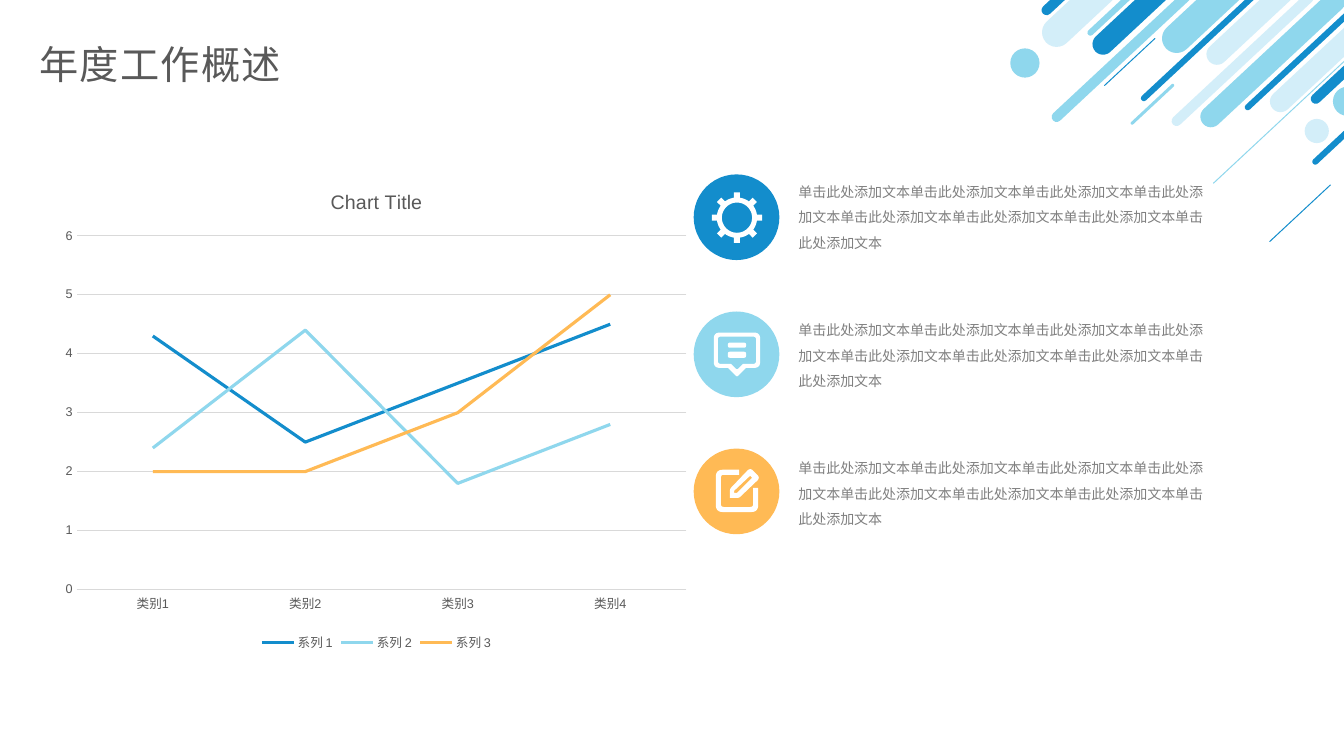
from dataclasses import dataclass
from math import asin, cos, dist, hypot, pi, sin

from lxml.etree import SubElement
from pptx import Presentation
from pptx.chart.data import CategoryChartData
from pptx.dml.color import RGBColor
from pptx.enum.chart import XL_CHART_TYPE, XL_LEGEND_POSITION, XL_TICK_MARK
from pptx.enum.shapes import MSO_SHAPE
from pptx.enum.text import MSO_ANCHOR
from pptx.oxml import parse_xml
from pptx.oxml.ns import nsdecls, qn
from pptx.util import Inches, Pt

COLORS = {"blue": "138DCC", "sky": "8FD7ED", "pale": "D3EEF9", "orange": "FFBA55",
          "white": "FFFFFF", "dark": "595959", "grey": "808080", "grid": "D9D9D9"}
CJK = "Noto Sans CJK SC"
BODY = "单击此处添加文本" * 8
Corner = tuple[float, float, float]  # x, y, corner radius
Contour = list[tuple[float, float]]


@dataclass
class Bar:
    x: float
    y: float
    h: float
    color: str
    w: float = 1.89


@dataclass
class Dot:
    x: float
    y: float
    d: float
    color: str


@dataclass
class Item:
    color: str
    icon: list[Contour]


BARS = [
    Bar(10.12, -0.37, 0.29, "pale"), Bar(10.54, -0.33, 0.06, "sky"),
    Bar(10.61, -0.24, 0.21, "blue"), Bar(10.19, 0.5, 0.1, "sky"),
    Bar(11.31, -0.31, 0.29, "sky"), Bar(11.07, 0.32, 0.06, "blue"),
    Bar(11.74, -0.14, 0.21, "pale"), Bar(11.38, 0.54, 0.1, "pale"),
    Bar(11.68, 0.48, 0.21, "sky"), Bar(12.1, 0.41, 0.06, "blue"),
    Bar(12.37, 0.33, 0.21, "pale"), Bar(12.76, 0.32, 0.1, "blue"),
    Bar(10.09, -0.56, 0.1, "blue"), Bar(12.77, 0.95, 0.06, "blue"),
    Bar(11.78, 1.17, 0.01, "sky"), Bar(12.48, 2.11, 0.01, "blue", 0.83),
    Bar(11.14, 1.02, 0.03, "sky", 0.58), Bar(10.86, 0.61, 0.01, "blue", 0.69),
]
DOTS = [Dot(12.94, 1.18, 0.24, "pale"), Dot(13.22, 0.86, 0.29, "sky"),
        Dot(10.02, 0.48, 0.29, "sky")]


def rgb(name: str) -> RGBColor:
    return RGBColor.from_string(COLORS[name])


def paint(sp, color: str) -> None:
    sp.shadow.inherit = False
    sp.fill.solid()
    sp.fill.fore_color.rgb = rgb(color)
    sp.line.fill.background()


def add_preset(s, kind: MSO_SHAPE, x: float, y: float, w: float, h: float, color: str):
    sp = s.shapes.add_shape(kind, Inches(x), Inches(y), Inches(w), Inches(h))
    paint(sp, color)
    return sp


def add_bar(s, bar: Bar) -> None:
    sp = add_preset(s, MSO_SHAPE.ROUNDED_RECTANGLE, bar.x, bar.y, bar.w, bar.h, bar.color)
    sp.adjustments[0] = 0.5
    sp.rotation = 317


def rounded(corners: list[Corner], steps: int = 6) -> Contour:
    """Outline with each corner replaced by a quadratic curve."""
    out = []
    for i, (x, y, r) in enumerate(corners):
        if not r:
            out.append((x, y))
            continue
        ends = []
        for nx, ny, _ in (corners[i - 1], corners[(i + 1) % len(corners)]):
            t = r / dist((x, y), (nx, ny))
            ends.append((x + (nx - x) * t, y + (ny - y) * t))
        (ax, ay), (bx, by) = ends
        for k in range(steps + 1):
            t = k / steps
            u = 1 - t
            out.append((u * u * ax + 2 * u * t * x + t * t * bx,
                        u * u * ay + 2 * u * t * y + t * t * by))
    return out


def box(l: float, t: float, r: float, b: float, radius: float) -> Contour:
    return rounded([(l, t, radius), (r, t, radius), (r, b, radius), (l, b, radius)])


def arc(cx: float, cy: float, r: float, start: float, end: float, steps: int) -> Contour:
    angles = [start + (end - start) * k / steps for k in range(steps + 1)]
    return [(cx + r * cos(a), cy + r * sin(a)) for a in angles]


def gear(cx: float, cy: float, teeth: int = 8) -> list[Contour]:
    ring, tip, half = 0.2, 0.25, 0.03
    pitch, a_ring, a_tip = 2 * pi / teeth, asin(half / ring), asin(half / tip)
    rim = []
    for k in range(teeth):
        mid = k * pitch
        rim += arc(cx, cy, hypot(tip, half), mid - a_tip, mid + a_tip, 1)
        rim += arc(cx, cy, ring, mid + a_ring, mid + pitch - a_ring, 6)
    return [rim, arc(cx, cy, 0.15, 0, 2 * pi, 48)]


def bubble(l: float, t: float, r: float, b: float, half: float, tip: float,
           radius: float) -> Contour:
    mid = (l + r) / 2
    return rounded([(l, t, radius), (r, t, radius), (r, b, radius), (mid + half, b, 0),
                    (mid, tip, 0.02), (mid - half, b, 0), (l, b, radius)])


def add_icon(s, contours: list[Contour]) -> None:
    fb = None
    for contour in contours:
        pts = [(Inches(x), Inches(y)) for x, y in contour]
        if fb is None:
            fb = s.shapes.build_freeform(*pts[0])
        else:
            fb.move_to(*pts[0])
        fb.add_line_segments(pts[1:], close=True)
    paint(fb.convert_to_shape(), "white")


def add_text(s, x: float, y: float, w: float, h: float, text: str, size: float,
             color: str, leading: float = 1.0, tracking: int = 0) -> None:
    tf = s.shapes.add_textbox(Inches(x), Inches(y), Inches(w), Inches(h)).text_frame
    tf.word_wrap = True
    tf.vertical_anchor = MSO_ANCHOR.TOP
    p = tf.paragraphs[0]
    p.line_spacing = leading
    r = p.add_run()
    r.text = text
    r.font.size, r.font.name = Pt(size), CJK
    r.font.color.rgb = rgb(color)
    rPr = r.font._element
    SubElement(rPr, qn("a:ea")).set("typeface", CJK)
    if tracking:
        rPr.set("spc", str(tracking))


def style_font(font, size: float) -> None:
    font.size, font.name, font.bold = Pt(size), "Arial", False
    font.color.rgb = rgb("dark")


def add_line_chart(s) -> None:
    x, y, w, h = 0.53, 1.69, 6.41, 4.81
    data = CategoryChartData()
    data.categories = [f"类别{n}" for n in range(1, 5)]
    data.add_series("系列 1", (4.3, 2.5, 3.5, 4.5))
    data.add_series("系列 2", (2.4, 4.4, 1.8, 2.8))
    data.add_series("系列 3", (2, 2, 3, 5))
    chart = s.shapes.add_chart(XL_CHART_TYPE.LINE, Inches(x), Inches(y), Inches(w),
                               Inches(h), data).chart
    style_font(chart.font, 10)
    tf = chart.chart_title.text_frame
    r = tf.paragraphs[0].add_run()
    r.text = "Chart Title"
    style_font(r.font, 14)
    chart.has_legend = True
    chart.legend.position = XL_LEGEND_POSITION.BOTTOM
    chart.legend.include_in_layout = False
    style_font(chart.legend.font, 9)
    cat, val = chart.category_axis, chart.value_axis
    for axis in (cat, val):
        axis.major_tick_mark = axis.minor_tick_mark = XL_TICK_MARK.NONE
        style_font(axis.tick_labels.font, 9)
    val.minimum_scale, val.maximum_scale, val.major_unit = 0, 6, 1
    val.format.line.fill.background()
    for line in (cat.format.line, val.major_gridlines.format.line):
        line.color.rgb, line.width = rgb("grid"), Pt(0.75)
    plot = chart.plots[0]
    plot.vary_by_categories = False
    for series, color in zip(plot.series, ("blue", "sky", "orange")):
        series.smooth = False
        series.format.line.color.rgb = rgb(color)
        series.format.line.width = Pt(2.25)
    area = {"x": (0.76 - x) / w, "y": (2.34 - y) / h, "w": 6.05 / w, "h": 3.51 / h}
    parts = "".join(f'<c:{k} val="{v:.4f}"/>' for k, v in area.items())
    plot_area = chart._chartSpace.chart.plotArea
    for old in plot_area.findall(qn("c:layout")):
        plot_area.remove(old)
    plot_area.insert(0, parse_xml(
        f'<c:layout {nsdecls("c")}><c:manualLayout><c:layoutTarget val="inner"/>'
        f'<c:xMode val="edge"/><c:yMode val="edge"/>{parts}</c:manualLayout></c:layout>'))


def main() -> None:
    prs = Presentation()
    prs.slide_width, prs.slide_height = Inches(13.33), Inches(7.5)
    s = prs.slides.add_slide(prs.slide_layouts[6])
    for bar in BARS:
        add_bar(s, bar)
    for dot in DOTS:
        add_preset(s, MSO_SHAPE.OVAL, dot.x, dot.y, dot.d, dot.d, dot.color)
    add_line_chart(s)
    comment = [bubble(7.08, 3.3, 7.54, 3.65, 0.09, 3.74, 0.06),
               bubble(7.12, 3.34, 7.5, 3.61, 0.06, 3.67, 0.03),
               box(7.22, 3.4, 7.4, 3.45, 0.02), box(7.22, 3.49, 7.4, 3.55, 0.02)]
    edit = [rounded([(7.33, 4.66, 0), (7.1, 4.66, 0.07), (7.1, 5.08, 0.07),
                     (7.52, 5.08, 0.07), (7.52, 4.84, 0), (7.47, 4.84, 0),
                     (7.47, 5.03, 0.03), (7.15, 5.03, 0.03), (7.15, 4.71, 0.03),
                     (7.33, 4.71, 0)]),
            rounded([(7.24, 4.94, 0), (7.24, 4.85, 0.02), (7.44, 4.64, 0.04),
                     (7.54, 4.74, 0.04), (7.33, 4.94, 0.02)]),
            [(7.28, 4.87), (7.28, 4.89), (7.31, 4.89), (7.46, 4.74), (7.44, 4.72)]]
    items = [Item("blue", gear(7.31, 2.16)), Item("sky", comment), Item("orange", edit)]
    for i, item in enumerate(items):
        add_preset(s, MSO_SHAPE.OVAL, 6.88, 1.73 + 1.36 * i, 0.85, 0.85, item.color)
        add_icon(s, item.icon)
        add_text(s, 7.82, 1.69 + 1.37 * i, 4.21, 0.85, BODY, 10, "grey", leading=1.5)
    add_text(s, 0.29, 0.35, 13.04, 0.57, "年度工作概述", 28, "dark", tracking=100)
    prs.save("out.pptx")


if __name__ == "__main__":
    main()
